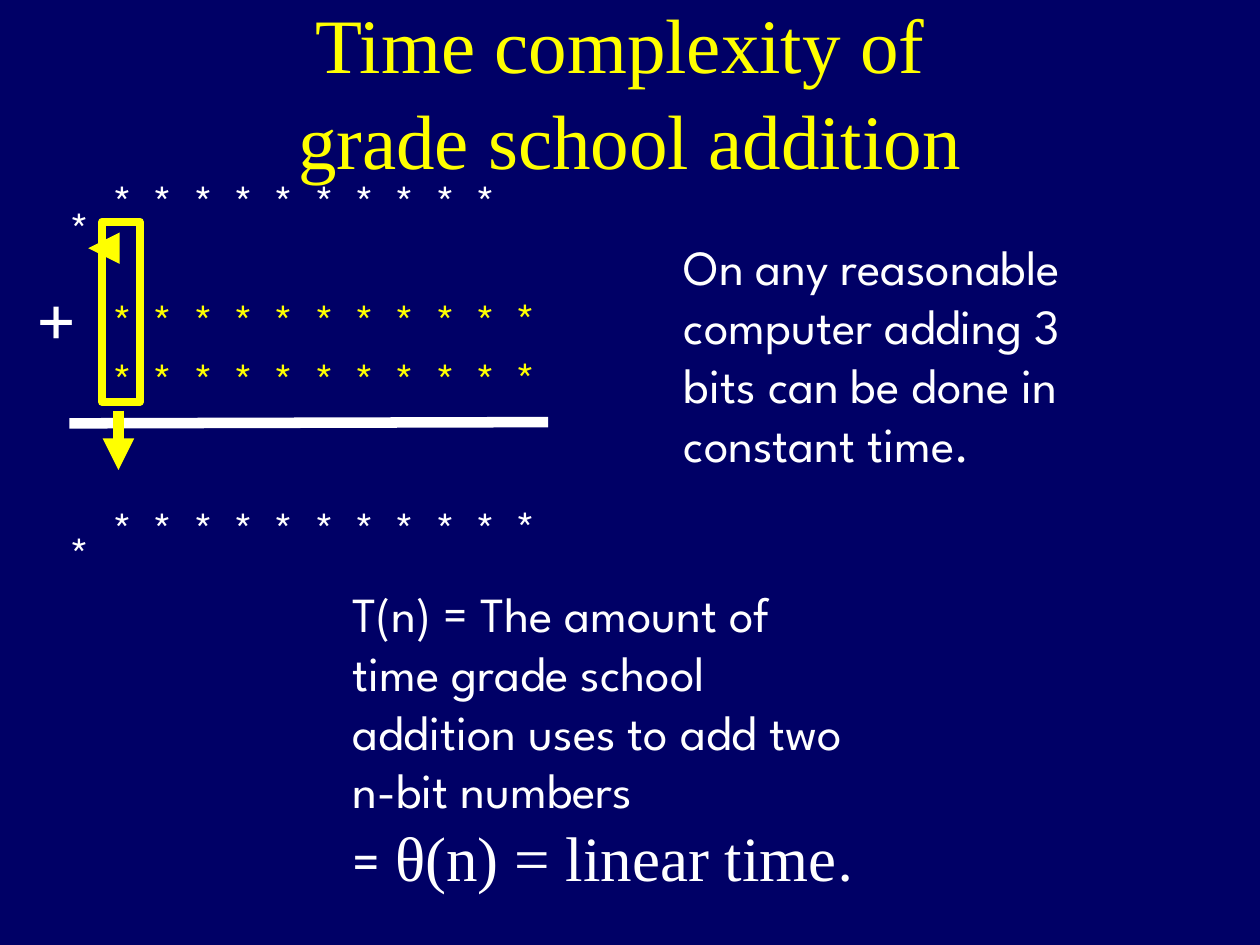
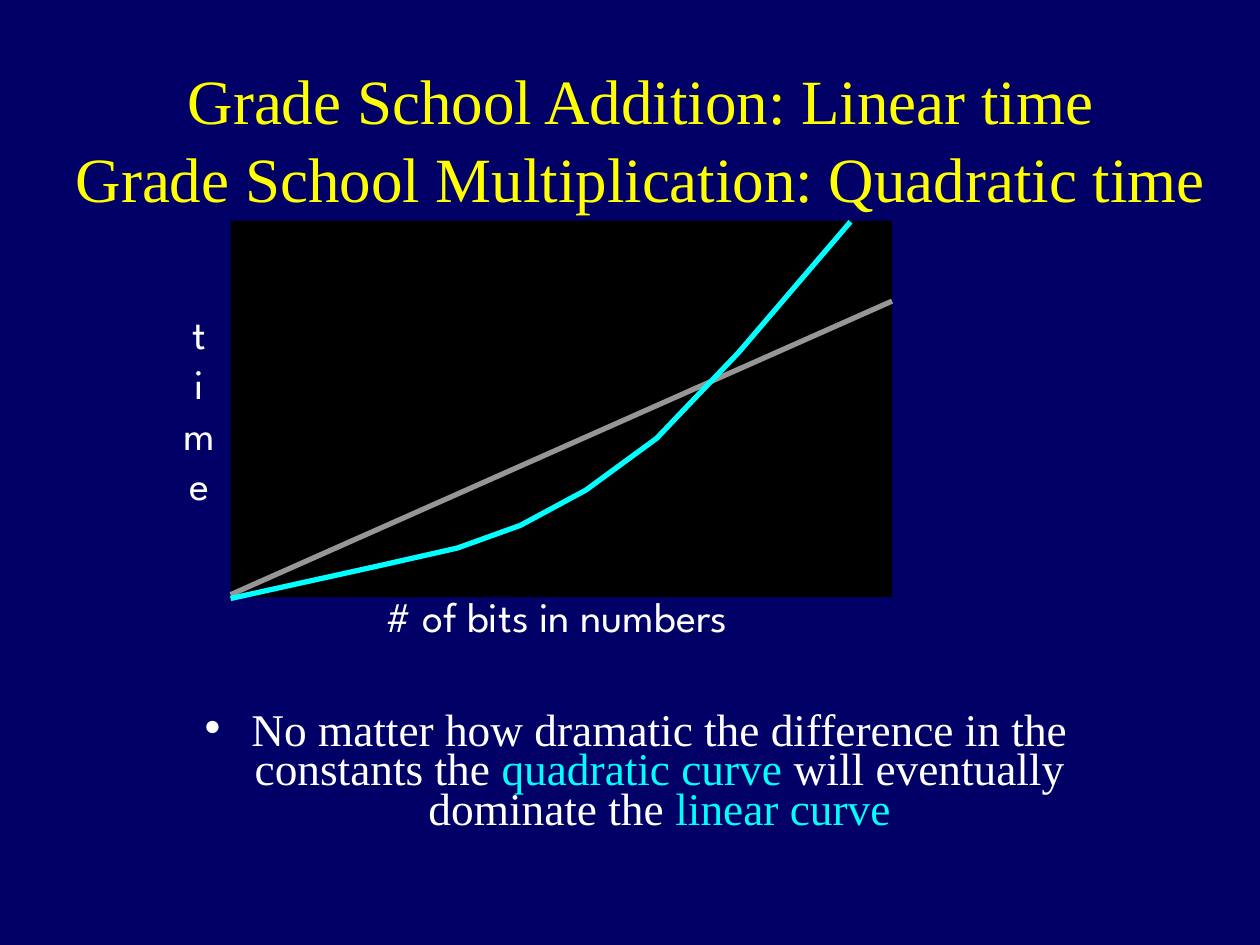
"""Build two slides on the time cost of grade school arithmetic."""
from dataclasses import dataclass
from typing import NamedTuple

from lxml.etree import SubElement
from pptx import Presentation
from pptx.dml.color import RGBColor
from pptx.enum.shapes import MSO_CONNECTOR, MSO_SHAPE
from pptx.enum.text import MSO_ANCHOR, MSO_AUTO_SIZE, PP_ALIGN
from pptx.oxml.ns import qn
from pptx.util import Inches, Pt


@dataclass(frozen=True)
class Theme:
    navy: RGBColor = RGBColor(0x00, 0x00, 0x66)
    white: RGBColor = RGBColor(0xFF, 0xFF, 0xFF)
    yellow: RGBColor = RGBColor(0xFF, 0xFF, 0x00)
    cyan: RGBColor = RGBColor(0x00, 0xFF, 0xFF)
    gray: RGBColor = RGBColor(0x96, 0x96, 0x96)
    black: RGBColor = RGBColor(0x00, 0x00, 0x00)
    serif: str = "Times New Roman"
    sans: str = "League Spartan"
    huge: float = 44
    large: float = 36
    medium: float = 32
    text: float = 28
    body: float = 25.9
    label: float = 24
    thick: float = 6
    frame: float = 4.5
    thin: float = 3


class Box(NamedTuple):
    left: float
    top: float
    width: float
    height: float


class Part(NamedTuple):
    text: str
    size: float
    color: RGBColor
    font: str


class Line(NamedTuple):
    start: tuple[float, float]
    end: tuple[float, float]
    color: RGBColor
    width: float
    arrow: bool = False


THEME = Theme()
STEP = 0.32
COUNT = 11
ROW = 0.94


def place(shape, box: Box) -> None:
    shape.left, shape.top, shape.width, shape.height = map(Inches, box)


def style(run, size: float, color: RGBColor, font: str) -> None:
    run.font.size = Pt(size)
    run.font.color.rgb = color
    run.font.name = font


def fill_para(para, parts: list[Part]) -> None:
    for part in parts:
        run = para.add_run()
        run.text = part.text
        style(run, part.size, part.color, part.font)


def plain(text: str, size: float = THEME.text, color: RGBColor = THEME.white,
          font: str = THEME.sans) -> list[Part]:
    return [Part(text, size, color, font)]


def set_title(slide, text: str, box: Box, size: float) -> None:
    title = slide.shapes.title
    place(title, box)
    frame = title.text_frame
    frame.text = text
    frame.auto_size = MSO_AUTO_SIZE.NONE
    frame.vertical_anchor = MSO_ANCHOR.MIDDLE
    para = frame.paragraphs[0]
    para.alignment = PP_ALIGN.CENTER
    para.line_spacing = 1.04
    for run in para.runs:
        style(run, size, THEME.yellow, THEME.serif)


def add_text(slide, box: Box, paras: list[list[Part]], gaps: tuple = (),
             side: float = 0.1, align=PP_ALIGN.LEFT,
             anchor=MSO_ANCHOR.TOP, wrap: bool = True):
    shape = slide.shapes.add_textbox(*map(Inches, box))
    frame = shape.text_frame
    frame.word_wrap = wrap
    frame.vertical_anchor = anchor
    frame.margin_left = frame.margin_right = Inches(side)
    for spot, parts in enumerate(paras):
        para = frame.add_paragraph() if spot else frame.paragraphs[0]
        para.alignment = align
        if spot and gaps:
            para.space_before = Pt(gaps[spot - 1])
        fill_para(para, parts)
    return shape


def add_line(slide, line: Line) -> None:
    shape = slide.shapes.add_connector(
        MSO_CONNECTOR.STRAIGHT, *map(Inches, line.start + line.end))
    shape.line.color.rgb = line.color
    shape.line.width = Pt(line.width)
    if line.arrow:
        SubElement(shape.line._get_or_add_ln(), qn("a:tailEnd"), type="triangle")
    SubElement(shape._element.spPr, qn("a:effectLst"))


def add_stars(slide, left: float, top: float, colors: list[RGBColor],
              gaps: tuple) -> None:
    stars = [plain("*", color=color) for color in colors]
    add_text(slide, Box(left, top, 0.83, 4.08), stars, gaps, side=0.3,
             align=PP_ALIGN.CENTER)


def add_rect(slide, box: Box):
    shape = slide.shapes.add_shape(MSO_SHAPE.RECTANGLE, *map(Inches, box))
    shape.shadow.inherit = False
    return shape


def build_sum(deck) -> None:
    slide = deck.slides.add_slide(deck.slide_layouts[5])
    set_title(slide, "Time complexity of \vgrade school addition",
              Box(0.75, 0.08, 8.5, 1.25), THEME.huge)

    colors = [THEME.white, THEME.yellow, THEME.yellow, THEME.white]
    gaps = (34.5, 0, 51.5)
    for col in range(COUNT):
        skip = int(col == COUNT - 1)
        add_stars(slide, 0.56 + STEP * col, 1.31 + ROW * skip,
                  colors[skip:], gaps[skip:])
    add_stars(slide, 0.22, 1.53, [THEME.white] * 2, (152,))

    add_text(slide, Box(0, 2.1, 0.91, 0.84), [plain("+", THEME.huge)],
             side=0.2, align=PP_ALIGN.CENTER, anchor=MSO_ANCHOR.MIDDLE)
    frame = add_rect(slide, Box(0.81, 1.76, 0.3, 1.43))
    frame.fill.background()
    frame.line.color.rgb = THEME.yellow
    frame.line.width = Pt(THEME.frame)
    for line in (
        Line((4.35, 3.35), (0.55, 3.36), THEME.white, THEME.thick),
        Line((0.94, 3.26), (0.94, 3.73), THEME.yellow, THEME.thick, True),
        Line((0.8, 1.97), (0.7, 1.97), THEME.yellow, THEME.thick, True),
    ):
        add_line(slide, line)

    claim = ("T(n) = The amount of time grade school addition uses "
             "to add two n-bit numbers")
    result = (plain("= ", THEME.medium)
              + plain("θ(n) = linear time", THEME.large, font=THEME.serif)
              + plain(".", THEME.medium))
    add_text(slide, Box(2.5, 4.58, 4.63, 2.57), [plain(claim), result],
             side=0.3, anchor=MSO_ANCHOR.MIDDLE)
    add_text(slide, Box(5.33, 1.83, 3.83, 1.97),
             [plain("On any reasonable computer adding 3 bits can be done "
                    "in constant time.")])


def set_body(slide) -> None:
    body = slide.placeholders[1]
    place(body, Box(0.75, 5.62, 8.5, 1.08))
    frame = body.text_frame
    frame.auto_size = MSO_AUTO_SIZE.NONE
    para = frame.paragraphs[0]
    para.alignment = PP_ALIGN.CENTER
    para.line_spacing = 0.73
    para.space_before = Pt(0)
    props = para._p.get_or_add_pPr()
    props.set("marL", str(Inches(0.47)))
    props.set("indent", str(Inches(-0.37)))
    tint = SubElement(props, qn("a:buClr"))
    SubElement(tint, qn("a:srgbClr"), val=str(THEME.white))
    SubElement(props, qn("a:buChar"), char="•")
    for text, color in (
        ("No matter how dramatic the difference in the constants the ",
         THEME.white),
        ("quadratic curve", THEME.cyan),
        (" will eventually dominate the ", THEME.white),
        ("linear curve", THEME.cyan),
    ):
        fill_para(para, plain(text, THEME.body, color, THEME.serif))


def build_growth(deck) -> None:
    slide = deck.slides.add_slide(deck.slide_layouts[1])
    set_title(slide, "Grade School Addition: Linear time\v"
              "Grade School Multiplication: Quadratic time",
              Box(0.17, 0.25, 9.83, 1.67), THEME.large)
    set_body(slide)

    plot = add_rect(slide, Box(1.83, 1.75, 5.25, 2.99))
    plot.fill.solid()
    plot.fill.fore_color.rgb = THEME.black
    plot.line.fill.background()
    add_text(slide, Box(2.74, 4.64, 3.35, 0.5),
             [plain("# of bits in numbers", THEME.label)],
             align=PP_ALIGN.CENTER, wrap=False)
    axis = add_text(slide, Box(1.33, 2.39, 0.5, 1.7), [[]],
                    align=PP_ALIGN.CENTER)
    axis.text_frame.paragraphs[0].text = "t\vime"
    for run in axis.text_frame.paragraphs[0].runs:
        style(run, THEME.label, THEME.white, THEME.sans)

    add_line(slide, Line((7.08, 2.39), (1.83, 4.72), THEME.gray, THEME.thin))
    points = [(1.83, 4.75), (3.01, 4.49), (3.63, 4.35), (4.13, 4.17),
              (4.65, 3.89), (5.21, 3.48), (5.86, 2.8), (6.75, 1.76)]
    start, *rest = [(Inches(x), Inches(y)) for x, y in points]
    path = slide.shapes.build_freeform(*start)
    path.add_line_segments(rest, close=False)
    curve = path.convert_to_shape()
    curve.shadow.inherit = False
    curve.fill.background()
    curve.line.color.rgb = THEME.cyan
    curve.line.width = Pt(THEME.thin)


def main() -> None:
    deck = Presentation()
    deck.slide_width, deck.slide_height = Inches(10), Inches(7.5)
    back = deck.slide_master.background.fill
    back.solid()
    back.fore_color.rgb = THEME.navy
    build_sum(deck)
    build_growth(deck)
    deck.save("out.pptx")


if __name__ == "__main__":
    main()
